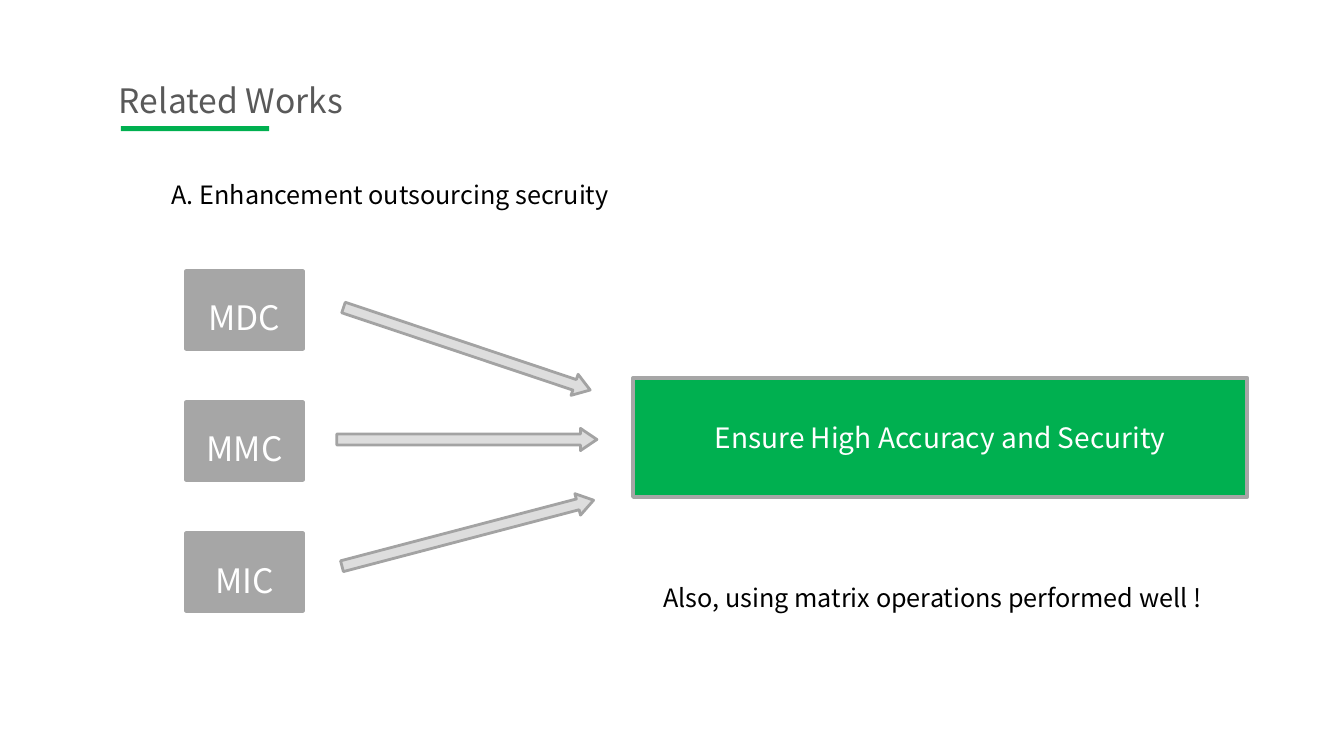
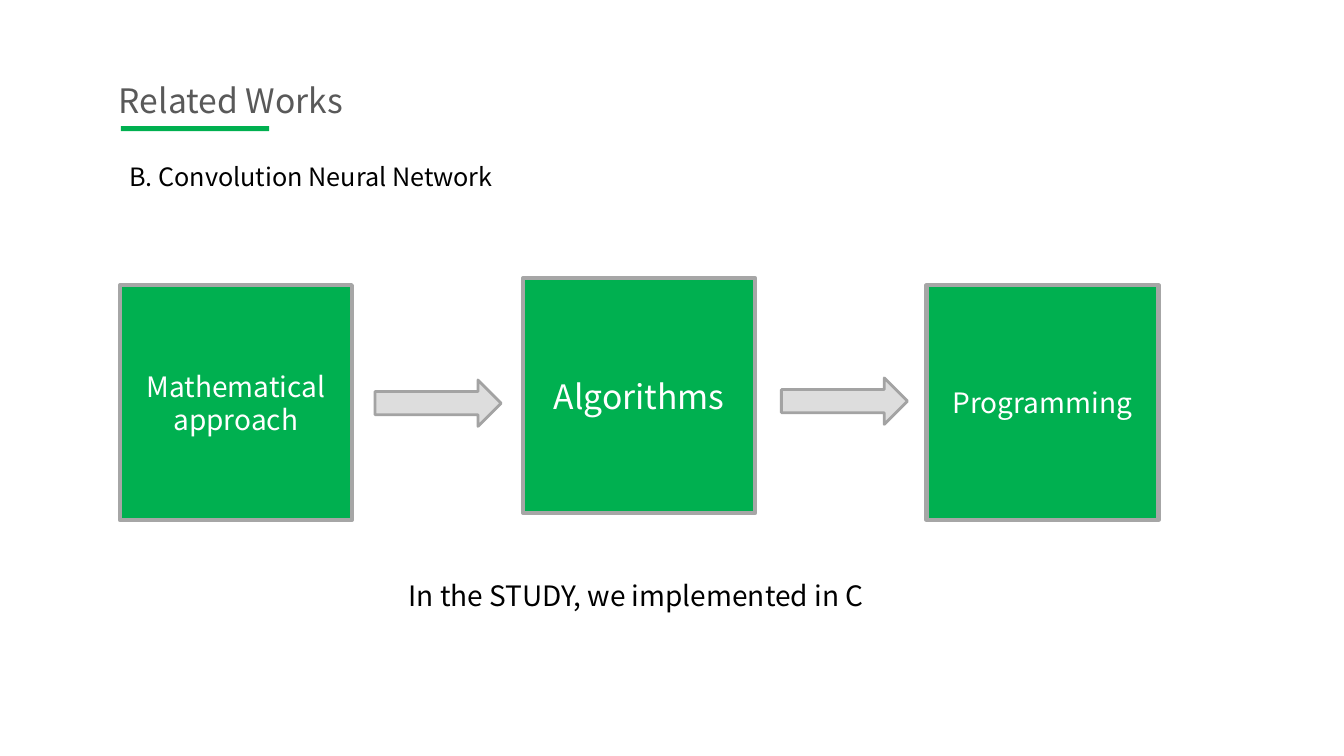
from pptx import Presentation
from pptx.dml.color import RGBColor
from pptx.enum.shapes import MSO_SHAPE as Preset
from pptx.enum.text import MSO_ANCHOR as Anchor, MSO_AUTO_SIZE as AutoSize, PP_ALIGN as Align
from pptx.util import Inches, Pt

FONT = "Noto Sans CJK KR"
WHITE, BLACK = "FFFFFF", "000000"
GREEN, GRAY, TITLE_GRAY = "00B050", "A6A6A6", "595959"
ARROW_FILL, ARROW_LINE = "DDDDDD", "A3A3A3"
TITLE_MARGINS = (0.1, 0.05)
BODY_MARGINS = (0.13, 0.06)


def rgb(color):
    """Turn a hex string into a colour."""
    return RGBColor.from_string(color)


def set_attributes(target, formats):
    """Set each attribute named in formats on the target."""
    for name, value in formats.items():
        setattr(target, name, value)


def write_text(shape, text, size, color, align=Align.CENTER, anchor=Anchor.TOP,
               margins=BODY_MARGINS, wrap=True, space=0.2, line_spacing=1.0):
    """Fill a shape with one formatted paragraph; space is a share of the size."""
    side, end = map(Inches, margins)
    frame = shape.text_frame
    frame.text = text
    set_attributes(frame, {
        "auto_size": AutoSize.NONE, "word_wrap": wrap, "vertical_anchor": anchor,
        "margin_left": side, "margin_right": side,
        "margin_top": end, "margin_bottom": end,
    })
    paragraph = frame.paragraphs[0]
    set_attributes(paragraph, {
        "alignment": align, "space_before": Pt(size * space),
        "line_spacing": line_spacing,
    })
    font = paragraph.runs[0].font
    set_attributes(font, {"name": FONT, "size": Pt(size), "bold": False})
    font.color.rgb = rgb(color)


def add_preset(slide, preset, box, fill, line=None, line_width=3):
    """Add a flat preset shape with a solid fill and an optional outline."""
    shape = slide.shapes.add_shape(preset, *map(Inches, box))
    shape.shadow.inherit = False
    shape.fill.solid()
    shape.fill.fore_color.rgb = rgb(fill)
    if line:
        shape.line.color.rgb = rgb(line)
        shape.line.width = Pt(line_width)
    else:
        shape.line.fill.background()
    return shape


def add_box(slide, box, text, size, fill=GREEN, **text_format):
    """Add a gray-edged rectangle with white text."""
    shape = add_preset(slide, Preset.RECTANGLE, box, fill, GRAY)
    write_text(shape, text, size, WHITE, **text_format)


def add_arrow(slide, box, rotation=0, head=0.5):
    """Add a gray block arrow; head is its length as a share of its height."""
    arrow = add_preset(slide, Preset.RIGHT_ARROW, box, ARROW_FILL, ARROW_LINE, 2)
    arrow.adjustments[1] = head
    arrow.rotation = rotation


def add_label(slide, box, text, size=18):
    """Add a centred line of black text."""
    label = slide.shapes.add_textbox(*map(Inches, box))
    write_text(label, text, size, BLACK)


def add_titled_slide(presentation, text):
    """Add a slide with the shared title and its green underline."""
    slide = presentation.slides.add_slide(presentation.slide_layouts[5])
    title = slide.shapes.title
    set_attributes(title, {
        "left": Inches(1.08), "top": Inches(0.74),
        "width": Inches(2.56), "height": Inches(0.5),
    })
    write_text(title, text, 24, TITLE_GRAY, align=Align.LEFT,
               margins=TITLE_MARGINS, wrap=False, space=0)
    add_preset(slide, Preset.RECTANGLE, (1.2, 1.25, 1.47, 0.05), GREEN)
    return slide


def build_security_slide(presentation):
    """Show three methods leading to one result."""
    slide = add_titled_slide(presentation, "Related Works")
    add_label(slide, (1.08, 1.72, 5.58, 0.5), "A. Enhancement outsourcing secruity")
    methods = [("MDC", 3.34, 3.35, 18.5), ("MMC", 3.34, 4.25, 0), ("MIC", 3.35, 5.18, 345.3)]
    for row, (name, arrow_left, arrow_top, rotation) in enumerate(methods):
        add_box(slide, (1.85, 2.69 + 1.3 * row, 1.15, 0.77), name, 24,
                fill=GRAY, line_spacing=1.5)
        add_arrow(slide, (arrow_left, arrow_top, 2.58, 0.22), rotation, head=0.74)
    add_box(slide, (6.28, 3.75, 6.09, 1.18), "Ensure High Accuracy and Security", 20,
            anchor=Anchor.MIDDLE)
    add_label(slide, (5.93, 5.72, 6.64, 1.08),
              "Also, using matrix operations performed well !")


def build_network_slide(presentation):
    """Show three steps joined by arrows."""
    slide = add_titled_slide(presentation, "Related Works")
    add_label(slide, (0.66, 1.54, 4.85, 0.5), "B. Convolution Neural Network")
    steps = [("Mathematical approach", 2.83, 20), ("Algorithms", 2.76, 24),
             ("Programming", 2.83, 20)]
    for column, (name, top, size) in enumerate(steps):
        add_box(slide, (1.19 + 4 * column, top, 2.3, 2.33), name, size,
                anchor=Anchor.MIDDLE)
    for column, top in enumerate((3.77, 3.75)):
        add_arrow(slide, (3.72 + 4.03 * column, top, 1.25, 0.46))
    add_label(slide, (2.99, 5.68, 6.64, 1.08), "In the STUDY, we implemented in C", 20)


def main():
    """Build and save the presentation."""
    presentation = Presentation()
    presentation.slide_width = Inches(13.33)
    presentation.slide_height = Inches(7.5)
    build_security_slide(presentation)
    build_network_slide(presentation)
    presentation.save("out.pptx")


if __name__ == "__main__":
    main()
